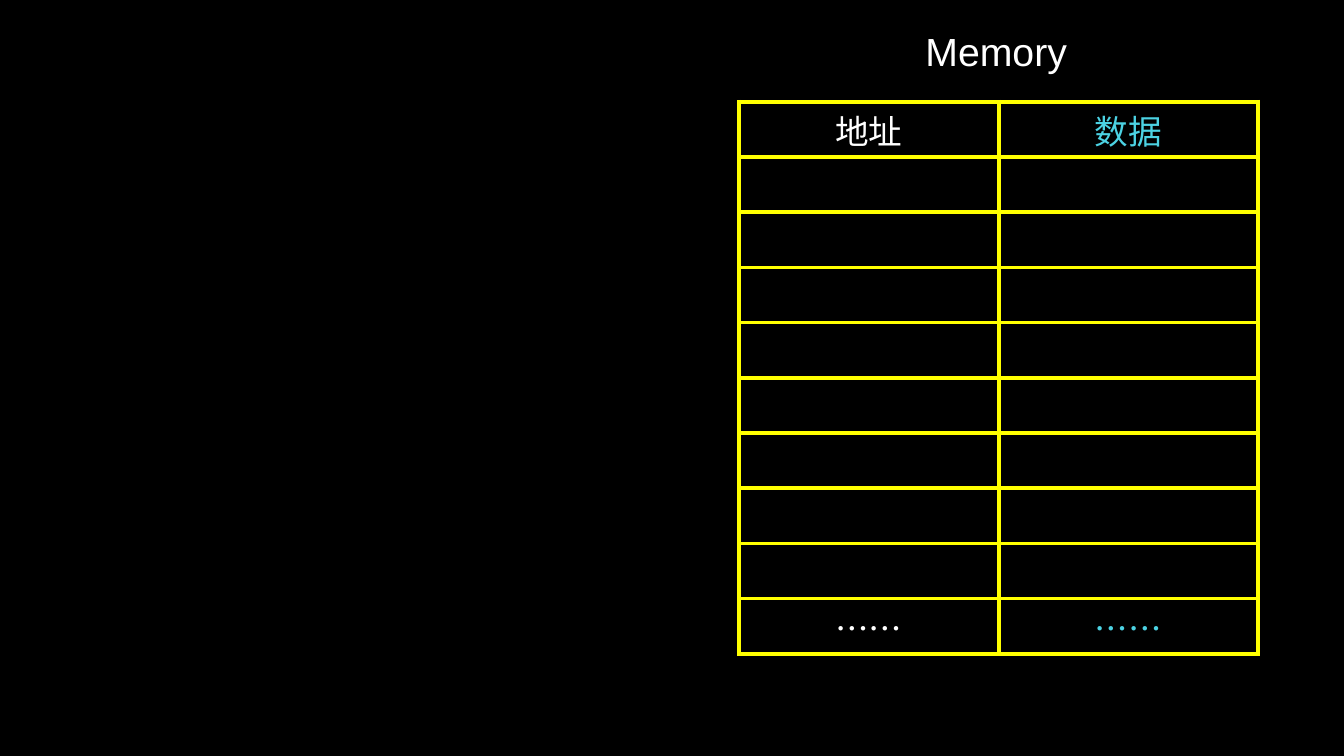
"""Build a slide with an empty memory table of addresses and data."""
import pptx
import pptx.dml.color
import pptx.enum.text
import pptx.oxml
import pptx.oxml.ns
import pptx.util

Inches = pptx.util.Inches
RGBColor = pptx.dml.color.RGBColor
BLACK = RGBColor(0x00, 0x00, 0x00)
WHITE = RGBColor(0xFF, 0xFF, 0xFF)
CYAN = RGBColor(0x4C, 0xD2, 0xE3)
YELLOW = RGBColor(0xFF, 0xFF, 0x00)
LATIN = "Arial"
HAN = "Noto Sans CJK SC"
INSETS = {
    "margin_left": Inches(0.01),
    "margin_right": Inches(0.01),
    "margin_top": Inches(0.01),
    "margin_bottom": 0,
    "vertical_anchor": pptx.enum.text.MSO_ANCHOR.MIDDLE,
}
ROWS = [("地址", "数据")] + [("", "")] * 8 + [("……", "……")]


def apply(target, values):
    """Set each attribute of the target from a dict."""
    for key, value in values.items():
        setattr(target, key, value)


def write(frame, text, size, color, face):
    """Put one centred line of text in a frame."""
    line = frame.paragraphs[0]
    line.alignment = pptx.enum.text.PP_ALIGN.CENTER
    run = line.add_run()
    run.text = text
    apply(run.font, {"size": pptx.util.Pt(size), "name": face, "bold": False})
    run.font.color.rgb = color
    east = pptx.oxml.parse_xml(
        f'<a:ea {pptx.oxml.ns.nsdecls("a")} typeface="{HAN}"/>')
    run.font._element.append(east)


def border(cell, color, width):
    """Draw a solid line on all four sides of a cell."""
    props = cell._tc.get_or_add_tcPr()
    for side in "LRTB":
        props.append(pptx.oxml.parse_xml(
            f'<a:ln{side} {pptx.oxml.ns.nsdecls("a")} w="{pptx.util.Pt(width)}">'
            f'<a:solidFill><a:srgbClr val="{color}"/></a:solidFill>'
            f'</a:ln{side}>'))


def add_title(slide, text):
    """Add the heading above the table."""
    box = slide.shapes.add_textbox(
        Inches(7.57), Inches(0.22), Inches(4.62), Inches(0.57))
    apply(box.text_frame, {
        "word_wrap": True,
        "auto_size": pptx.enum.text.MSO_AUTO_SIZE.SHAPE_TO_FIT_TEXT,
    })
    write(box.text_frame, text, 28, WHITE, LATIN)


def add_grid(slide, rows):
    """Add the bordered table of addresses and data."""
    table = slide.shapes.add_table(
        len(rows), 2, Inches(7.33), Inches(1.01),
        Inches(5.15), Inches(5.48)).table
    apply(table, {"first_row": False, "horz_banding": False})
    for i, row in enumerate(rows):
        face = LATIN if i == 0 else HAN
        for j, (text, color) in enumerate(zip(row, (WHITE, CYAN))):
            cell = table.cell(i, j)
            border(cell, YELLOW, 3)
            cell.fill.solid()
            cell.fill.fore_color.rgb = BLACK
            if text:
                apply(cell, INSETS)
                write(cell.text_frame, text, 24, color, face)


def main():
    """Make the slide and save it."""
    deck = pptx.Presentation()
    apply(deck, {"slide_width": Inches(13.33), "slide_height": Inches(7.5)})
    slide = deck.slides.add_slide(deck.slide_layouts[6])
    slide.background.fill.solid()
    slide.background.fill.fore_color.rgb = BLACK
    add_grid(slide, ROWS)
    add_title(slide, "Memory")
    deck.save("out.pptx")


if __name__ == "__main__":
    main()
